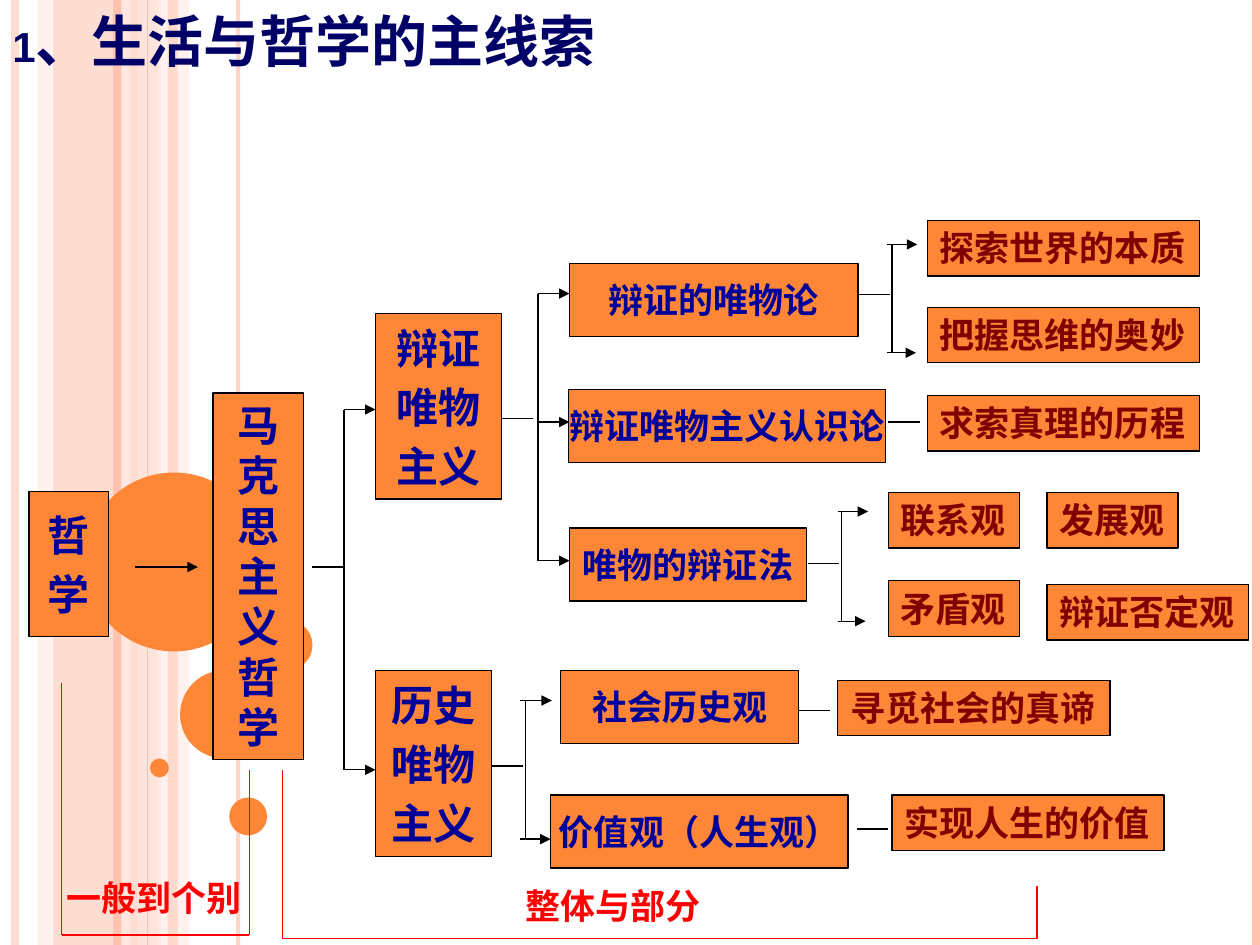
from pptx import Presentation
from pptx.dml.color import RGBColor
from pptx.enum.shapes import MSO_CONNECTOR as CONN, MSO_SHAPE as SHAPE
from pptx.enum.text import MSO_ANCHOR as ANCHOR, PP_ALIGN as ALIGN
from pptx.oxml.ns import qn
from pptx.util import Inches, Pt
from lxml.etree import SubElement

WIDTH, HEIGHT = 10, 7.5
CJK = "Noto Sans CJK SC"
ORANGE, BLACK, RED = "FE8637", "000000", "FF0000"
NAVY, BLUE, MAROON = "000066", "000099", "800000"
PEACH, BLUSH, PALE = "FEC3AE", "FFD9CE", "FFEDE8"

# left, width, colour, opacity in percent
BANDS = [(0.42, 0.67, PEACH, 54), (0.3, 0.11, BLUSH, 36), (1.08, 0.2, BLUSH, 70),
         (1.25, 0.25, PALE, 71)]
# x, colour, points, opacity
STRIPES = [(0.12, PEACH, 4.5, 54), (1, PALE, 4.5, 65), (0.93, PEACH, 4.5, 100),
           (1.89, PEACH, 2.25, 65), (1.17, PEACH, 0.75, 100), (9.97, PEACH, 4.5, 100)]
FRONT_BAND = (1.33, 0.08, PEACH, 51)
# left, top, diameter
DISCS = [(0.67, 3.75, 1.42), (1.43, 5.32, 0.7), (1.19, 6.02, 0.15),
         (1.82, 6.33, 0.3), (2.08, 4.92, 0.4)]

TITLE = [("1", 24), ("、生活与哲学的主线索", 32)]
# lines of text, left, top, width, height
STEMS = [(["哲", "学"], 0.23, 3.9, 0.63, 1.15),
         (["辩证", "唯物", "主义"], 2.98, 2.49, 1, 1.47),
         (["历史", "唯物", "主义"], 2.98, 5.32, 0.92, 1.48)]
MARXISM = (["马克思", "主义哲学"], 1.69, 3.12, 0.72, 2.91)
# text, left, top, width
THEORIES = [("辩证的唯物论", 4.52, 2.09, 2.29), ("唯物的辩证法", 4.52, 4.19, 1.88),
            ("辩证唯物主义认识论", 4.51, 3.09, 2.52), ("社会历史观", 4.45, 5.32, 1.89),
            ("价值观（人生观）", 4.37, 6.31, 2.36)]
THEORY_H = 0.58
# text, left, top
LEAVES = [("探索世界的本质", 7.36, 1.75), ("把握思维的奥妙", 7.36, 2.44),
          ("求索真理的历程", 7.36, 3.14), ("联系观", 7.05, 3.91), ("发展观", 8.31, 3.91),
          ("矛盾观", 7.05, 4.61), ("辩证否定观", 8.31, 4.64),
          ("寻觅社会的真谛", 6.65, 5.4), ("实现人生的价值", 7.08, 6.31)]
LEAF_H, LEAF_PAD, CHAR_W = 0.44, 0.2, 0.28

# stem left, stem y, spine x, arrow start x, [(arrow tip x, y)]
BRANCHES = [(2.48, 4.5, 2.73, 2.73, [(2.98, 3.25), (2.98, 6.11)]),
            (3.98, 3.32, 4.27, 4.27, [(4.52, 2.33), (4.52, 3.35), (4.52, 4.45)]),
            (3.9, 6.08, 4.17, 4.13, [(4.38, 5.56), (4.37, 6.66)]),
            (6.41, 4.47, 6.68, 6.65, [(6.89, 4.06), (6.87, 4.93)]),
            (6.81, 2.34, 7.08, 7.04, [(7.28, 1.94), (7.27, 2.8)])]
STEM_LEN = 0.25
# left, y of the plain links between a theory and its leaf
LINKS = [(6.34, 5.64), (6.8, 6.58), (7.05, 3.35)]
# label, label left, label top, left x, left top, right x, right top, bottom
BRACKETS = [("一般到个别", 0.31, 6.83, 0.49, 5.42, 1.98, 6.11, 7.42),
            ("整体与部分", 3.95, 6.9, 2.24, 6.11, 8.23, 7.03, 7.45)]
LABEL_W = 1.83

prs = Presentation()
prs.slide_width, prs.slide_height = Inches(WIDTH), Inches(HEIGHT)
s = prs.slides.add_slide(prs.slide_layouts[6])


def paint(fill, color, opacity=100):
    fill.solid()
    fill.fore_color.rgb = RGBColor.from_string(color)
    if opacity < 100:
        clr = fill._xPr.find(qn("a:solidFill"))[0]
        SubElement(clr, qn("a:alpha"), val=str(opacity * 1000))


def shape(kind, x, y, w, h, color, opacity=100, outline=None):
    sp = s.shapes.add_shape(kind, *map(Inches, (x, y, w, h)))
    sp.shadow.inherit = False
    paint(sp.fill, color, opacity)
    if outline:
        paint(sp.line.fill, outline)
        sp.line.width = Pt(0.75)
    else:
        sp.line.fill.background()
    return sp


def line(x1, y1, x2, y2, color=BLACK, width=0.75, opacity=100, arrow=False):
    c = s.shapes.add_connector(CONN.STRAIGHT, *map(Inches, (x1, y1, x2, y2)))
    paint(c.line.fill, color, opacity)
    c.line.width = Pt(width)
    if arrow:
        SubElement(c.line._get_or_add_ln(), qn("a:tailEnd"), type="triangle")
    SubElement(c._element.spPr, qn("a:effectLst"))


def style(font, size, color, name=CJK):
    font.size, font.bold, font.name = Pt(size), True, name
    font.color.rgb = RGBColor.from_string(color)
    SubElement(font._element, qn("a:ea"), typeface=CJK)


def write(sp, lines, size, color, name=CJK, align=ALIGN.CENTER,
          anchor=ANCHOR.MIDDLE, wrap=False, gap=0):
    tf = sp.text_frame
    tf.word_wrap, tf.vertical_anchor = wrap, anchor
    for i, text in enumerate(lines):
        p = tf.paragraphs[0] if i == 0 else tf.add_paragraph()
        p.text, p.alignment = text, align
        if i and gap:
            p.space_before = Pt(gap)
        style(p.font, size, color, name)


def box(x, y, w, h):
    return shape(SHAPE.RECTANGLE, x, y, w, h, ORANGE, outline=BLACK)


def band(x, w, color, opacity):
    shape(SHAPE.RECTANGLE, x, 0, w, HEIGHT, color, opacity)


# Backdrop
for item in BANDS:
    band(*item)
for x, color, width, opacity in STRIPES:
    line(x, 0, x, HEIGHT, color, width, opacity)
band(*FRONT_BAND)
for x, y, d in DISCS:
    shape(SHAPE.OVAL, x, y, d, d, ORANGE)

# Boxes
for lines, *place in STEMS:
    write(box(*place), lines, 24, BLUE, gap=5)
for text, x, y, w in THEORIES:
    write(box(x, y, w, THEORY_H), [text], 20, BLUE)
lines, *place = MARXISM
write(box(*place), lines, 24, BLUE, anchor=ANCHOR.TOP, wrap=True)
for text, x, y in LEAVES:
    write(box(x, y, LEAF_PAD + CHAR_W * len(text), LEAF_H), [text], 20, MAROON,
          "Arial", ALIGN.LEFT, ANCHOR.TOP)

# Links
line(1.07, 4.5, 1.57, 4.5, arrow=True)
for x, y, spine, start, tips in BRANCHES:
    line(x, y, x + STEM_LEN, y)
    line(spine, tips[0][1], spine, tips[-1][1])
    for tip_x, tip_y in tips:
        line(start, tip_y, tip_x, tip_y, arrow=True)
for x, y in LINKS:
    line(x, y, x + STEM_LEN, y)

# Red brackets
for label, lx, ly, x1, y1, x2, y2, bottom in BRACKETS:
    line(x1, y1, x1, bottom, RED)
    line(x1, bottom, x2, bottom, RED)
    line(x2, y2, x2, bottom, RED)
    tb = s.shapes.add_textbox(*map(Inches, (lx, ly, LABEL_W, THEORY_H)))
    write(tb, [label], 20, RED)

# Title
tb = s.shapes.add_textbox(0, 0, Inches(WIDTH), Inches(0.63))
tb.text_frame.word_wrap = True
p = tb.text_frame.paragraphs[0]
for text, size in TITLE:
    r = p.add_run()
    r.text = text
    style(r.font, size, NAVY, "Arial")

prs.save("out.pptx")
